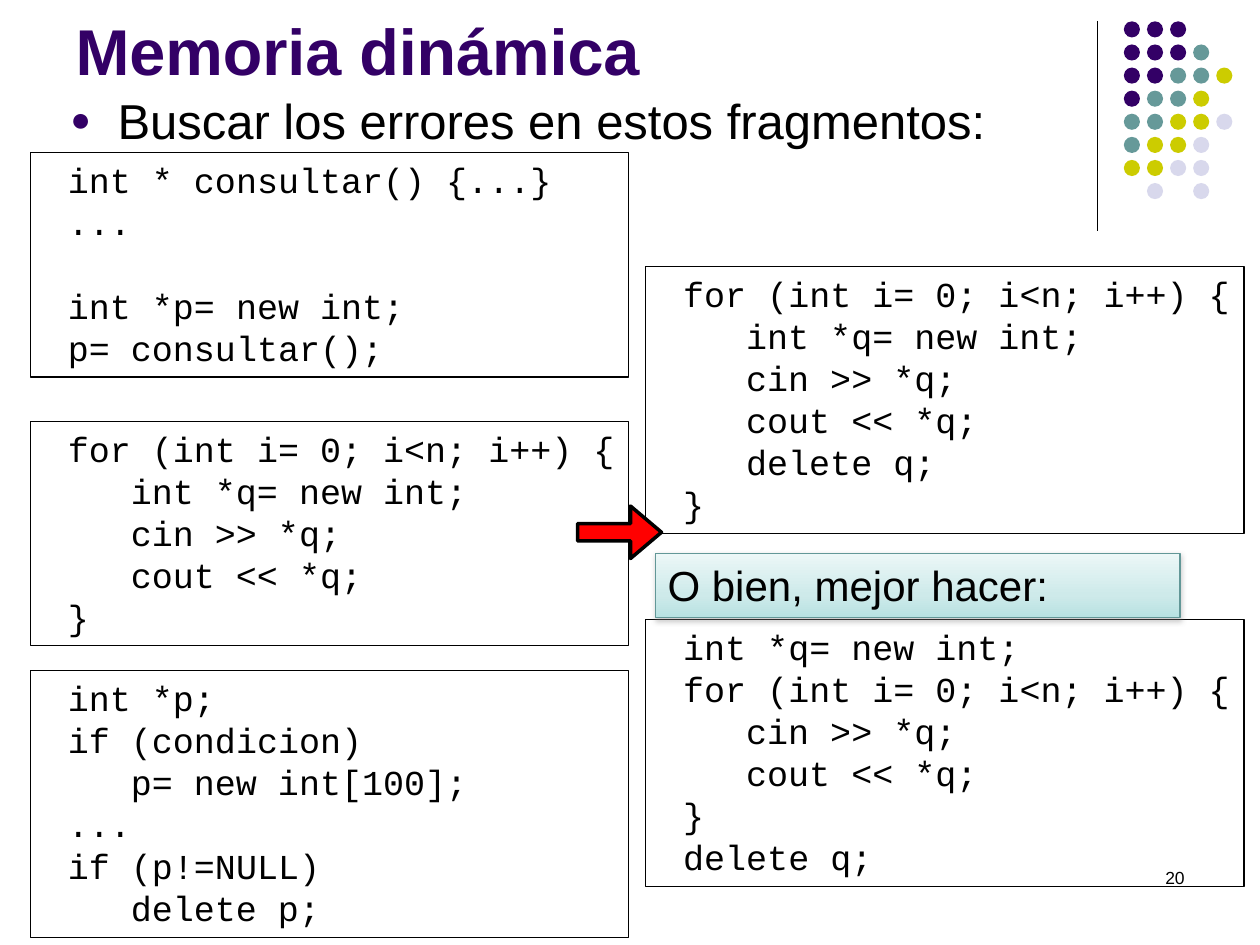
from copy import deepcopy

from lxml import etree
from pptx import Presentation
from pptx.dml.color import RGBColor
from pptx.enum.shapes import MSO_CONNECTOR, MSO_SHAPE
from pptx.enum.text import MSO_ANCHOR, PP_ALIGN
from pptx.oxml.ns import qn
from pptx.util import Pt

RECTANGLE, OVAL, ARROW = MSO_SHAPE.RECTANGLE, MSO_SHAPE.OVAL, MSO_SHAPE.RIGHT_ARROW
STRAIGHT = MSO_CONNECTOR.STRAIGHT
TOP, BOTTOM = MSO_ANCHOR.TOP, MSO_ANCHOR.BOTTOM
LEFT, RIGHT = PP_ALIGN.LEFT, PP_ALIGN.RIGHT

COLORS = {
    "black": "000000", "purple": "330066", "teal": "669999",
    "lime": "CCCC00", "lilac": "D8D8EC", "red": "FF0000",
    "note_top": "ECF7F7", "note_middle": "CEEAEA", "note_bottom": "B8E2E2",
    "note_line": "629797", "shadow": "808080",
}
DOT_COLORS = {"P": "purple", "T": "teal", "Y": "lime", "L": "lilac"}
DOT_ROWS = ["PPP", "PPPT", "PPTTY", "PTTY", "TTYYL", "TYYL", "YYLL", " L L"]

CODE_LINE = 24
CODE_INDENT = 14.4
CHARACTER_WIDTH = 12
LEFT_COLUMN, RIGHT_COLUMN = 17.3, 368.9
LOOP = "for (int i= 0; i<n; i++) {"
READ_AND_PRINT = ["   cin >> *q;", "   cout << *q;"]
CODE_BOXES = [
    (LEFT_COLUMN, 87.1, ["int * consultar() {...}", "...", "",
                         "int *p= new int;", "p= consultar();"]),
    (LEFT_COLUMN, 240.7, [LOOP, "   int *q= new int;", *READ_AND_PRINT, "}"]),
    (RIGHT_COLUMN, 152.4, [LOOP, "   int *q= new int;", *READ_AND_PRINT,
                           "   delete q;", "}"]),
    (LEFT_COLUMN, 383.2, ["int *p;", "if (condicion)", "   p= new int[100];",
                          "...", "if (p!=NULL)", "   delete p;"]),
    (RIGHT_COLUMN, 354.1, ["int *q= new int;", LOOP, *READ_AND_PRINT, "}",
                           "delete q;"]),
]


def rgb(name):
    return RGBColor.from_string(COLORS[name])


class SlideBuilder:
    """Holds the text style and the slide being built."""

    font = "Arial"
    code_font = "Courier New"

    def __init__(self, slide):
        self.slide = slide

    def run(self, paragraph, text, size, color="black", font=None, bold=False):
        run = paragraph.add_run()
        run.text = text
        run.font.size = Pt(size)
        run.font.name = font or self.font
        run.font.bold = bold
        run.font.color.rgb = rgb(color)

    def frame(self, shape, anchor=TOP):
        frame = shape.text_frame
        frame.word_wrap = True
        frame.vertical_anchor = anchor
        frame.paragraphs[0].alignment = LEFT
        return frame

    def title(self, text, left, top, width, height):
        shape = self.slide.shapes.title
        shape.left, shape.top = Pt(left), Pt(top)
        shape.width, shape.height = Pt(width), Pt(height)
        paragraph = self.frame(shape, BOTTOM).paragraphs[0]
        self.run(paragraph, text, 37, "purple", bold=True)

    def text(self, text, left, top, width, height, size, align=LEFT):
        box = self.slide.shapes.add_textbox(Pt(left), Pt(top), Pt(width), Pt(height))
        paragraph = self.frame(box).paragraphs[0]
        paragraph.alignment = align
        self.run(paragraph, text, size)
        return paragraph

    def bullet(self, text, left, top, width, height):
        paragraph = self.text(text, left, top, width, height, 28)
        paragraph.space_before = Pt(5.6)
        properties = paragraph._p.get_or_add_pPr()
        properties.set("marL", str(Pt(27)))
        properties.set("indent", str(-Pt(27)))
        color = etree.SubElement(properties, qn("a:buClr"))
        etree.SubElement(color, qn("a:srgbClr"), val=COLORS["purple"])
        etree.SubElement(properties, qn("a:buSzPct"), val="70000")
        etree.SubElement(properties, qn("a:buFont"), typeface=self.font)
        etree.SubElement(properties, qn("a:buChar"), char="●")

    def shape(self, kind, left, top, width, height, fill=None, line=None, weight=0.75):
        shape = self.slide.shapes.add_shape(kind, Pt(left), Pt(top), Pt(width), Pt(height))
        shape.shadow.inherit = False
        if fill:
            shape.fill.solid()
            shape.fill.fore_color.rgb = rgb(fill)
        else:
            shape.fill.background()
        if line:
            shape.line.color.rgb = rgb(line)
            shape.line.width = Pt(weight)
        else:
            shape.line.fill.background()
        return shape

    def code(self, left, top, lines):
        height = len(lines) * CODE_LINE + 8.4
        frame = self.frame(self.shape(RECTANGLE, left, top, 342, height, line="black"))
        paragraph, gap = frame.paragraphs[0], 0
        for line in lines:
            if not line:
                gap += CODE_LINE
                continue
            if paragraph.runs:
                paragraph = frame.add_paragraph()
            text = line.lstrip()
            indent = CODE_INDENT + (len(line) - len(text)) * CHARACTER_WIDTH
            paragraph.alignment = LEFT
            paragraph.line_spacing = Pt(CODE_LINE)
            paragraph.space_before = Pt(gap)
            paragraph._p.get_or_add_pPr().set("marL", str(Pt(indent)))
            self.run(paragraph, text, 20, font=self.code_font)
            gap = 0

    def note(self, text, left, top, width, height):
        shape = self.shape(RECTANGLE, left, top, width, height, line="note_line")
        # Vertical gradient with a third stop
        shape.fill.gradient()
        shape.fill.gradient_angle = 270
        stop_list = shape._element.spPr.find(".//" + qn("a:gsLst"))
        stop_list.insert(1, deepcopy(stop_list[0]))
        stops = zip(shape.fill.gradient_stops, (0, 0.65, 1),
                    ("note_top", "note_middle", "note_bottom"))
        for stop, position, color in stops:
            stop.position = position
            stop.color.rgb = rgb(color)
        # Soft shadow below
        effects = shape._element.spPr.find(qn("a:effectLst"))
        shadow = etree.SubElement(effects, qn("a:outerShdw"), blurRad=str(Pt(3.1)),
                                  dist=str(Pt(1.6)), dir="5400000", rotWithShape="0")
        color = etree.SubElement(shadow, qn("a:srgbClr"), val=COLORS["shadow"])
        etree.SubElement(color, qn("a:alpha"), val="38000")
        self.run(self.frame(shape).paragraphs[0], text, 24)

    def line(self, start, end):
        ends = [Pt(value) for value in (*start, *end)]
        connector = self.slide.shapes.add_connector(STRAIGHT, *ends)
        connector.line.color.rgb = rgb("black")
        connector.line.width = Pt(0.75)
        etree.SubElement(connector._element.spPr, qn("a:effectLst"))

    def dots(self, left, top, pitch, size):
        for row, letters in enumerate(DOT_ROWS):
            for column, letter in enumerate(letters):
                if letter in DOT_COLORS:
                    self.shape(OVAL, left + column * pitch, top + row * pitch,
                               size, size, DOT_COLORS[letter])


def main():
    presentation = Presentation()
    presentation.slide_width, presentation.slide_height = Pt(720), Pt(540)
    builder = SlideBuilder(presentation.slides.add_slide(presentation.slide_layouts[5]))

    # Corner decoration
    builder.line((627, 12), (627, 132))
    builder.dots(642.2, 12.2, 13.2, 9.2)

    # Page number, title and bullet
    builder.text("20", 516, 492, 168, 36, 10, RIGHT)
    builder.title("Memoria dinámica", 36, 9.4, 594, 44.6)
    builder.bullet("Buscar los errores en estos fragmentos:", 33.1, 48, 666, 48)

    # Code fragments
    for left, top, lines in CODE_BOXES:
        builder.code(left, top, lines)

    # Arrow to the corrected version and the better option
    arrow = builder.shape(ARROW, 330, 289.2, 48, 30, "red", "black", 2)
    arrow.adjustments[0], arrow.adjustments[1] = 0.33, 0.59
    builder.note("O bien, mejor hacer:", 374.4, 316.1, 300, 36.7)

    presentation.save("out.pptx")


if __name__ == "__main__":
    main()
